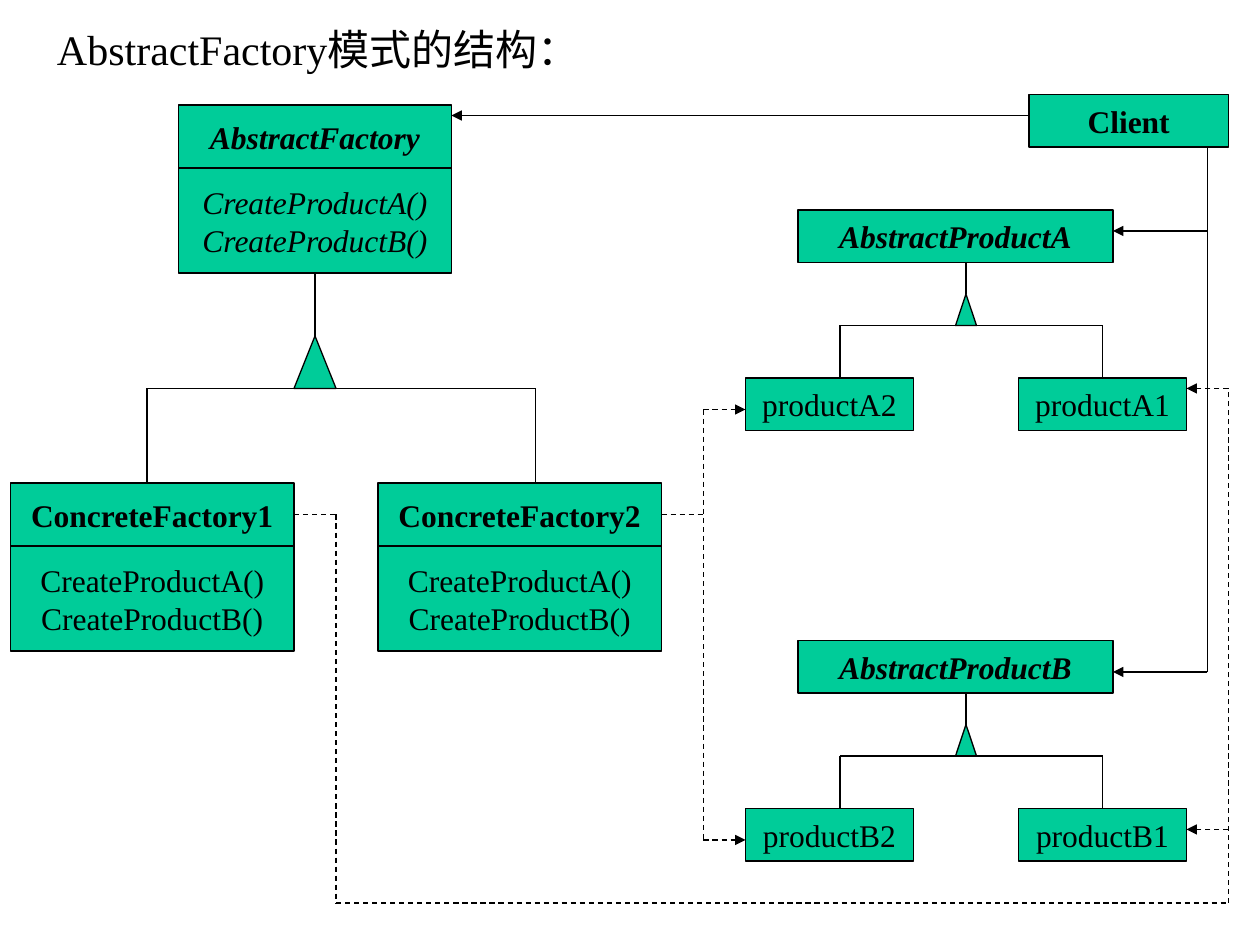
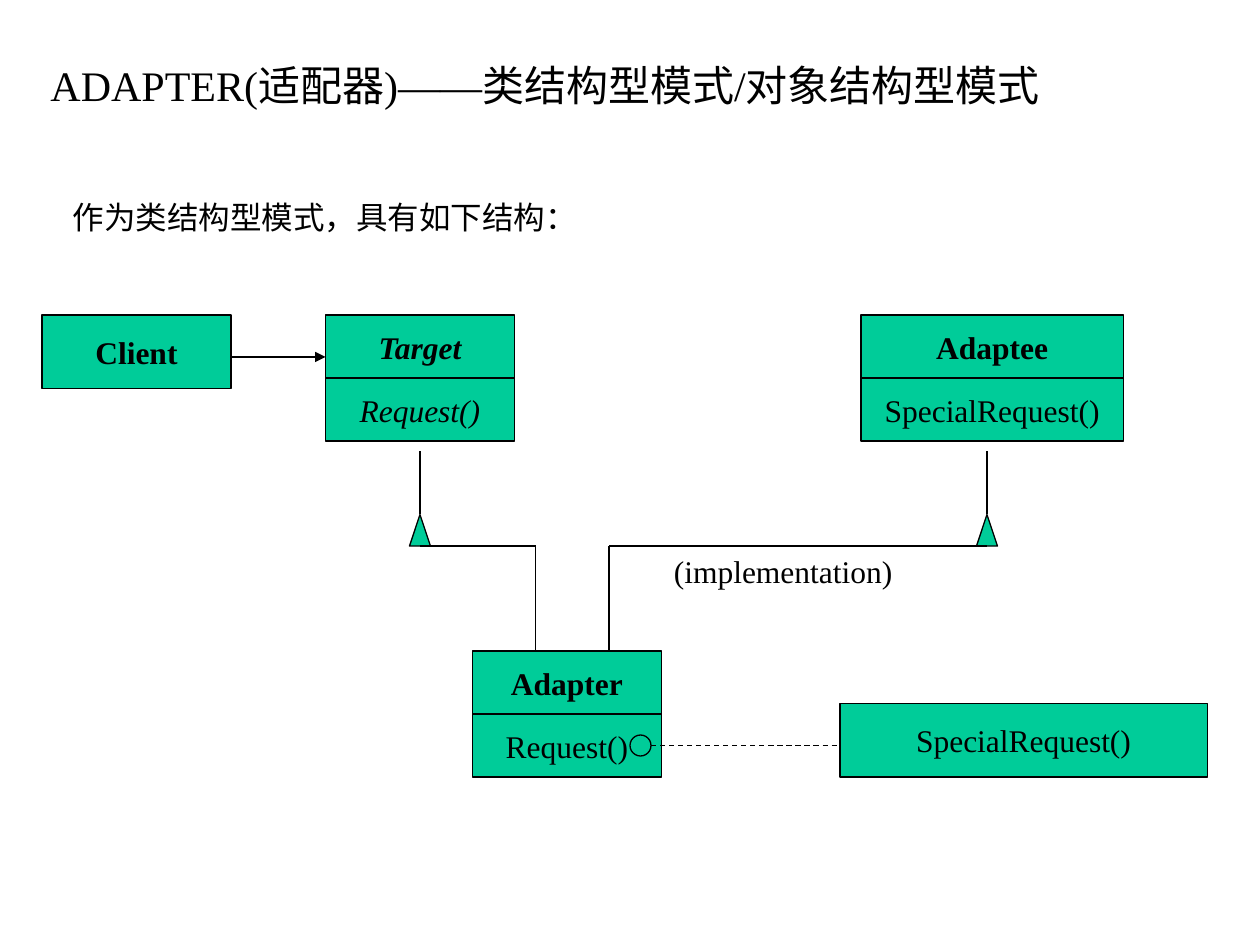
"""Builds two slides of class diagrams for the Abstract Factory and Adapter patterns."""
from itertools import pairwise

from lxml.etree import SubElement
from pptx import Presentation
from pptx.dml.color import RGBColor
from pptx.enum.dml import MSO_LINE
from pptx.enum.shapes import MSO_CONNECTOR, MSO_SHAPE, MSO_SHAPE_TYPE
from pptx.enum.text import MSO_ANCHOR, MSO_AUTO_SIZE, PP_ALIGN
from pptx.oxml.ns import qn
from pptx.util import Emu, Pt

PX = 9525
FONT = "Times New Roman"
INK = "000000"
GREEN = "00CC99"
TITLE_SIZE = 24
BODY_SIZE = 18
LINE_WIDTH = 0.75
HEADER_HEIGHT = 48


def px(length):
    """Turn a length in px into EMU."""
    return Emu(length * PX)


def color(value):
    """Turn a hex string into a colour."""
    return RGBColor.from_string(value)


def write_text(shape, text, size, align, bold=False, italic=False):
    """Set and format the text of a shape."""
    text_frame = shape.text_frame
    text_frame.text = text
    text_frame.word_wrap = False
    for paragraph in text_frame.paragraphs:
        paragraph.alignment = align
        for run in paragraph.runs:
            run.font.name = FONT
            run.font.size = Pt(size)
            run.font.color.rgb = color(INK)
            run.font.bold = bold
            run.font.italic = italic


def add_label(slide, text, left, top, width, height, size=BODY_SIZE):
    """Add a left-aligned text box that fits its text."""
    label = slide.shapes.add_textbox(px(left), px(top), px(width), px(height))
    write_text(label, text, size, PP_ALIGN.LEFT)
    label.text_frame.auto_size = MSO_AUTO_SIZE.SHAPE_TO_FIT_TEXT


def add_figure(slide, kind, left, top, width, height):
    """Add a green preset shape with a thin black outline."""
    shape = slide.shapes.add_shape(kind, px(left), px(top), px(width), px(height))
    shape.shadow.inherit = False
    shape.fill.solid()
    shape.fill.fore_color.rgb = color(GREEN)
    shape.line.color.rgb = color(INK)
    shape.line.width = Pt(LINE_WIDTH)
    return shape


def add_box(slide, text, left, top, width, height, bold=False, italic=False):
    """Add a rectangle with centred text."""
    box = add_figure(slide, MSO_SHAPE.RECTANGLE, left, top, width, height)
    write_text(box, text, BODY_SIZE, PP_ALIGN.CENTER, bold, italic)
    box.text_frame.vertical_anchor = MSO_ANCHOR.MIDDLE


def add_class(slide, name, operations, left, top, width, height, abstract=False):
    """Add a class box: its name above its operations."""
    add_box(slide, name, left, top, width, HEADER_HEIGHT, True, abstract)
    add_box(slide, operations, left, top + HEADER_HEIGHT, width, height, False, abstract)


def find_joint(slide, point):
    """Return the rectangle and site whose side has its middle at a point."""
    for shape in slide.shapes:
        if shape.shape_type != MSO_SHAPE_TYPE.AUTO_SHAPE:
            continue
        if shape.auto_shape_type != MSO_SHAPE.RECTANGLE:
            continue
        left, top = shape.left, shape.top
        right, bottom = left + shape.width, top + shape.height
        center, middle = (left + right) // 2, (top + bottom) // 2
        sites = [(center, top), (left, middle), (center, bottom), (right, middle)]
        if point in sites:
            return shape, sites.index(point)
    return None


def add_line(slide, start, end, dashed=False, arrow=False):
    """Add a straight connector and join it where it meets a side's middle."""
    begin = tuple(px(value) for value in start)
    finish = tuple(px(value) for value in end)
    line = slide.shapes.add_connector(MSO_CONNECTOR.STRAIGHT, *begin, *finish)
    line.line.color.rgb = color(INK)
    line.line.width = Pt(LINE_WIDTH)
    if dashed:
        line.line.dash_style = MSO_LINE.DASH
    properties = line._element.spPr
    if arrow:
        SubElement(properties.find(qn("a:ln")), qn("a:tailEnd"), type="triangle")
    SubElement(properties, qn("a:effectLst"))
    for point, connect in ((begin, line.begin_connect), (finish, line.end_connect)):
        joint = find_joint(slide, point)
        if joint:
            connect(*joint)


def add_route(slide, *points, dashed=False, arrow=False):
    """Add a chain of lines, with an arrowhead on the last if wanted."""
    for start, end in pairwise(points):
        add_line(slide, start, end, dashed, arrow and end == points[-1])


def add_inheritance(slide, x, top, apex, width=16, height=24):
    """Add an inheritance stem that ends in a triangle."""
    add_line(slide, (x, top), (x, apex))
    add_figure(slide, MSO_SHAPE.ISOSCELES_TRIANGLE, x - width // 2, apex, width, height)


def add_fork(slide, left, right, top, bottom):
    """Add a crossbar with a drop at each end."""
    add_line(slide, (left, top), (right, top))
    for x in (left, right):
        add_line(slide, (x, top), (x, bottom))


def add_product_family(slide, letter, top):
    """Add an abstract product with its two concrete products."""
    add_box(slide, f"AbstractProduct{letter}", 608, top, 240, 40, True, True)
    for number, left in ((2, 568), (1, 776)):
        add_box(slide, f"product{letter}{number}", left, top + 128, 128, 40)
    add_inheritance(slide, 736, top + 40, top + 64)
    add_fork(slide, 640, 840, top + 88, top + 128)


def build_abstract_factory(slide):
    """Draw the structure of the Abstract Factory pattern."""
    add_label(slide, "AbstractFactory模式的结构：", 34, 13, 427, 48, TITLE_SIZE)
    add_product_family(slide, "A", 160)
    add_product_family(slide, "B", 488)

    operations = "CreateProductA()\nCreateProductB()"
    add_class(slide, "AbstractFactory", operations, 136, 80, 208, 80, abstract=True)
    for number, left in ((1, 8), (2, 288)):
        add_class(slide, f"ConcreteFactory{number}", operations, left, 368, 216, 80)
    add_inheritance(slide, 240, 208, 256, 32, 40)
    add_fork(slide, 112, 408, 296, 368)

    add_box(slide, "Client", 784, 72, 152, 40, bold=True)
    add_line(slide, (784, 88), (344, 88), arrow=True)
    add_route(slide, (920, 112), (920, 512), (848, 512), arrow=True)
    add_line(slide, (920, 176), (848, 176), arrow=True)

    add_line(slide, (504, 392), (536, 392), dashed=True)
    add_line(slide, (536, 312), (536, 640), dashed=True)
    for y in (312, 640):
        add_line(slide, (536, y), (568, y), dashed=True, arrow=True)
    add_route(slide, (224, 392), (256, 392), (256, 688), (936, 688), (936, 296),
              (904, 296), dashed=True, arrow=True)
    add_line(slide, (936, 632), (904, 632), dashed=True, arrow=True)


def build_adapter(slide):
    """Draw the class structure of the Adapter pattern."""
    add_label(slide, "ADAPTER(适配器)——类结构型模式/对象结构型模式", 29, 41, 813, 48, TITLE_SIZE)
    add_label(slide, "作为类结构型模式，具有如下结构：", 46, 146, 405, 38)

    add_box(slide, "Client", 32, 240, 144, 56, bold=True)
    add_class(slide, "Target", "Request()", 248, 240, 144, 48, abstract=True)
    add_class(slide, "Adaptee", "SpecialRequest()", 656, 240, 200, 48)
    add_class(slide, "Adapter", "Request()", 360, 496, 144, 48)
    add_line(slide, (176, 272), (248, 272), arrow=True)

    for parent_x, adapter_x in ((320, 408), (752, 464)):
        add_inheritance(slide, parent_x, 344, 392)
        add_route(slide, (parent_x, 416), (adapter_x, 416), (adapter_x, 496))
    add_label(slide, "(implementation)", 504, 416, 190, 38)

    add_box(slide, "SpecialRequest()", 640, 536, 280, 56)
    add_figure(slide, MSO_SHAPE.OVAL, 480, 560, 16, 16)
    add_line(slide, (496, 568), (640, 568), dashed=True)


def main():
    """Build both slides and save the presentation."""
    presentation = Presentation()
    presentation.slide_width = px(960)
    presentation.slide_height = px(720)
    blank_layout = presentation.slide_layouts[6]
    for build in (build_abstract_factory, build_adapter):
        build(presentation.slides.add_slide(blank_layout))
    presentation.save("out.pptx")


if __name__ == "__main__":
    main()
